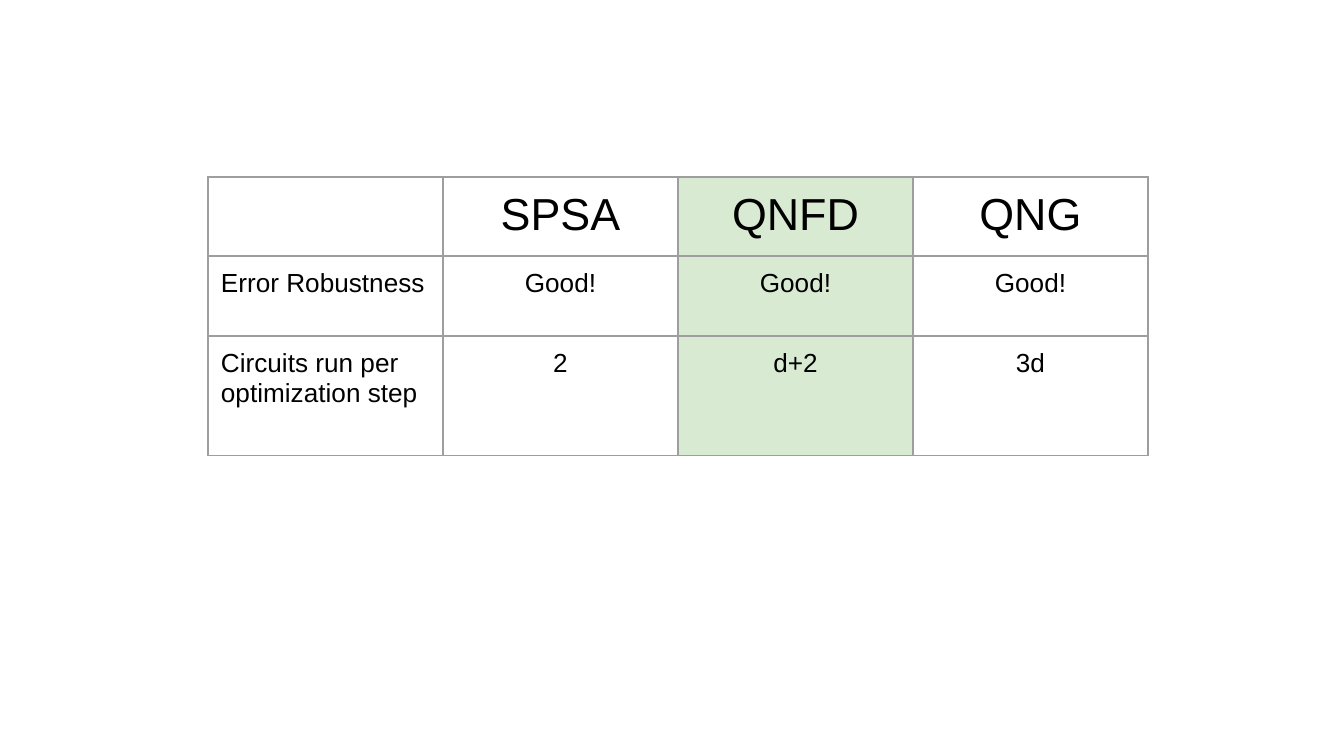
from lxml.etree import SubElement
from pptx import Presentation
from pptx.dml.color import RGBColor
from pptx.enum.text import PP_ALIGN as Align
from pptx.oxml.ns import qn
from pptx.util import Pt

# Content
ROWS = [
    ("", "SPSA", "QNFD", "QNG"),
    ("Error Robustness", "Good!", "Good!", "Good!"),
    ("Circuits run per optimization step", "2", "d+2", "3d"),
]

# Layout in px
SLIDE_W, SLIDE_H = 1344, 756
LEFT, TOP = 208, 177
COL_W = 235
ROW_H = (79, 80, 120)
INSET = 13

# Style
HIGHLIGHT_COL = 2
HIGHLIGHT, BORDER, TEXT = "D9EAD3", "9E9E9E", "000000"
HEAD_SIZE, BODY_SIZE, BORDER_W = 24, 14, 0.75
MARGINS = ("margin_left", "margin_top", "margin_right", "margin_bottom")


def px(n):
    return round(n * 914400 / 134.4)


def rgb(color):
    return RGBColor.from_string(color)


def add_borders(cell):
    tc_pr = cell._tc.get_or_add_tcPr()
    for i, side in enumerate(("lnL", "lnR", "lnT", "lnB")):
        ln = SubElement(tc_pr, qn(f"a:{side}"), w=str(Pt(BORDER_W)))
        fill = SubElement(ln, qn("a:solidFill"))
        SubElement(fill, qn("a:srgbClr"), val=BORDER)
        # Borders come before the cell fill
        tc_pr.insert(i, ln)


def fill_cell(cell, text, row, col):
    for margin in MARGINS:
        setattr(cell, margin, px(INSET))
    if col == HIGHLIGHT_COL:
        cell.fill.solid()
        cell.fill.fore_color.rgb = rgb(HIGHLIGHT)
    else:
        cell.fill.background()
    add_borders(cell)

    p = cell.text_frame.paragraphs[0]
    p.alignment = Align.CENTER if col else Align.LEFT
    if text:
        r = p.add_run()
        r.text = text
        size = BODY_SIZE if row else HEAD_SIZE
        for name, value in {"name": "Arial", "size": Pt(size), "bold": False}.items():
            setattr(r.font, name, value)
        r.font.color.rgb = rgb(TEXT)


def main():
    prs = Presentation()
    prs.slide_width, prs.slide_height = px(SLIDE_W), px(SLIDE_H)
    s = prs.slides.add_slide(prs.slide_layouts[6])

    # Comparison table
    n_cols = len(ROWS[0])
    table = s.shapes.add_table(len(ROWS), n_cols, px(LEFT), px(TOP),
                               px(COL_W * n_cols), px(sum(ROW_H))).table
    table.first_row = table.horz_banding = False
    for column in table.columns:
        column.width = px(COL_W)
    for i, (texts, height) in enumerate(zip(ROWS, ROW_H)):
        table.rows[i].height = px(height)
        for j, text in enumerate(texts):
            fill_cell(table.cell(i, j), text, i, j)

    prs.save("out.pptx")


if __name__ == "__main__":
    main()
